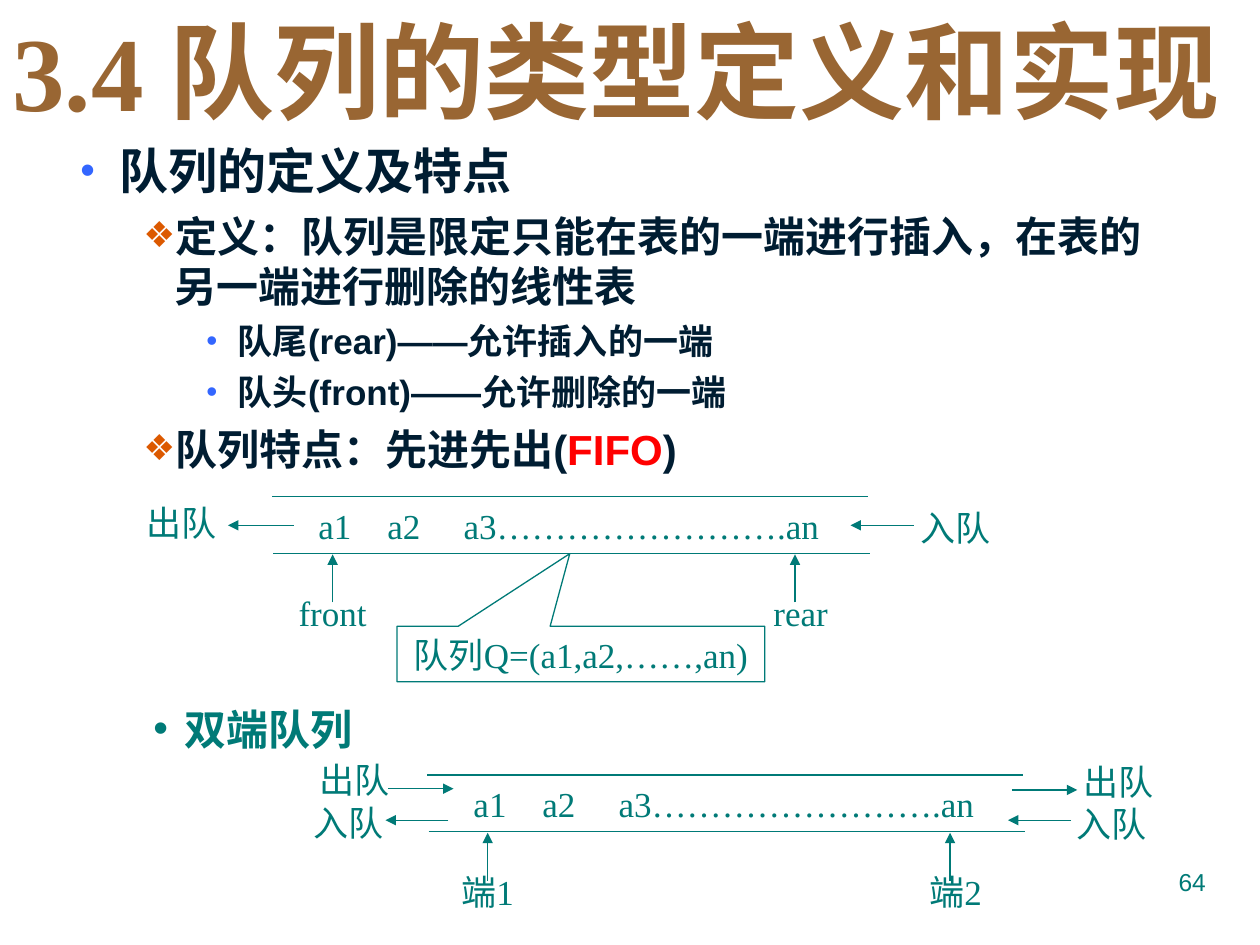
"""Build the slide on the definition and implementation of queues."""
from lxml.etree import SubElement
from pptx import Presentation
from pptx.dml.color import RGBColor
from pptx.enum.shapes import MSO_CONNECTOR, MSO_SHAPE
from pptx.enum.text import MSO_ANCHOR as ANCHOR, MSO_AUTO_SIZE as AUTO, PP_ALIGN as ALIGN
from pptx.oxml.ns import qn
from pptx.util import Pt

COLORS = {"teal": "007A77", "navy": "001D32", "brown": "996633",
          "blue": "3366FF", "orange": "DC5900", "red": "FF0000"}
SERIF, SANS = "Times New Roman", "Arial"
LABEL_WIDTH, ROW_HEIGHT = 56, 31.7
LEVELS = {
    1: dict(size=28, margin=58.5, hanging=22.5, before=7, mark="•", mark_color="blue", mark_size=85),
    2: dict(size=24, margin=90, hanging=18, before=6, mark="❖", mark_color="orange", mark_size=85),
    3: dict(size=20, margin=126, hanging=18, before=5, mark="•", mark_color="blue", mark_size=90),
}
OUTLINE = [
    (1, [("队列的定义及特点", "navy")]),
    (2, [("定义：队列是限定只能在表的一端进行插入，在表的另一端进行删除的线性表", "navy")]),
    (3, [("队尾(rear)——允许插入的一端", "navy")]),
    (3, [("队头(front)——允许删除的一端", "navy")]),
    (2, [("队列特点：先进先出(", "navy"), ("FIFO", "red"), (")", "navy")]),
]


def rgb(name):
    """Return the named colour."""
    return RGBColor.from_string(COLORS[name])


def write(paragraph, text, size=20, font=SERIF, color="teal", bold=False, align=ALIGN.LEFT):
    """Add a formatted run to a paragraph."""
    paragraph.alignment = align
    run = paragraph.add_run()
    run.text = text
    run.font.size, run.font.name, run.font.bold = Pt(size), font, bold
    run.font.color.rgb = rgb(color)


def add_frame(slide, left, top, width, height, wrap=True, anchor=ANCHOR.TOP):
    """Add a text box and return its text frame."""
    frame = slide.shapes.add_textbox(Pt(left), Pt(top), Pt(width), Pt(height)).text_frame
    frame.word_wrap, frame.vertical_anchor = wrap, anchor
    return frame


def add_label(slide, center, top, text):
    """Add a one-line label centred on a horizontal position."""
    frame = add_frame(slide, center - LABEL_WIDTH / 2, top, LABEL_WIDTH, ROW_HEIGHT,
                      wrap=False, anchor=ANCHOR.MIDDLE)
    frame.auto_size = AUTO.SHAPE_TO_FIT_TEXT
    write(frame.paragraphs[0], text, align=ALIGN.CENTER)


def add_line(slide, x1, y1, x2, y2, arrow=False):
    """Add a thin straight line, with an arrowhead at its end if asked."""
    line = slide.shapes.add_connector(MSO_CONNECTOR.STRAIGHT, Pt(x1), Pt(y1), Pt(x2), Pt(y2))
    line.line.color.rgb, line.line.width = rgb("teal"), Pt(0.75)
    if arrow:
        SubElement(line.line._get_or_add_ln(), qn("a:tailEnd"), type="triangle")
    SubElement(line._element.spPr, qn("a:effectLst"))


def set_bullet(paragraph, margin, hanging, before, mark, mark_color, mark_size):
    """Give a paragraph its indent, spacing and bullet."""
    paragraph.space_before = Pt(before)
    props = paragraph._p.get_or_add_pPr()
    props.set("marL", str(Pt(margin)))
    props.set("indent", str(-Pt(hanging)))
    SubElement(SubElement(props, qn("a:buClr")), qn("a:srgbClr"), val=COLORS[mark_color])
    SubElement(props, qn("a:buSzPct"), val=str(mark_size * 1000))
    SubElement(props, qn("a:buFont"), typeface=SANS)
    SubElement(props, qn("a:buChar"), char=mark)


def add_outline(slide):
    """Add the bulleted definition and properties."""
    frame = add_frame(slide, 2.9, 77, 669.6, 244)
    for index, (level, runs) in enumerate(OUTLINE):
        paragraph = frame.add_paragraph() if index else frame.paragraphs[0]
        paragraph.level = level - 1
        style = dict(LEVELS[level])
        size = style.pop("size")
        for text, color in runs:
            write(paragraph, text, size=size, font=SANS, color=color, bold=True)
        set_bullet(paragraph, **style)


def add_queue(slide, left, top, front, rear):
    """Draw a queue between two rails with pointers to both ends."""
    for dx, dy in ((0, 0), (0.8, 32.4)):
        add_line(slide, left + dx, top + dy, left + dx + 340.6, top + dy)
    items = add_frame(slide, left + 19.4, top + 0.7, 305.3, ROW_HEIGHT,
                      anchor=ANCHOR.MIDDLE).paragraphs[0]
    write(items, "a1\ta2\ta3…………………….an")
    tabs = SubElement(items._p.get_or_add_pPr(), qn("a:tabLst"))
    for stop in (39.4, 82.9):
        SubElement(tabs, qn("a:tab"), pos=str(Pt(stop)), algn="l")
    for text, pointer, center in ((front, 34.6, 34.6), (rear, 298.8, 302)):
        add_line(slide, left + pointer, top + 60.5, left + pointer, top + 33.1, arrow=True)
        add_label(slide, left + center, top + 50.5, text)


def add_move(slide, text, center, top, start, end, y):
    """Add an operation label and its horizontal arrow."""
    add_line(slide, start, y, end, y, arrow=True)
    add_label(slide, center, top, text)


def add_callout(slide):
    """Add the callout that names the queue."""
    callout = slide.shapes.add_shape(MSO_SHAPE.RECTANGULAR_CALLOUT,
                                     Pt(226.8), Pt(357.9), Pt(210.2), Pt(ROW_HEIGHT))
    callout.adjustments[0], callout.adjustments[1] = -0.03, -1.81
    callout.shadow.inherit = False
    callout.fill.background()
    callout.line.color.rgb, callout.line.width = rgb("teal"), Pt(0.75)
    frame = callout.text_frame
    frame.word_wrap, frame.vertical_anchor = False, ANCHOR.MIDDLE
    write(frame.paragraphs[0], "队列Q=(a1,a2,……,an)", align=ALIGN.CENTER)


def main():
    """Build and save the slide."""
    deck = Presentation()
    deck.slide_width, deck.slide_height = Pt(720), Pt(540)
    slide = deck.slides.add_slide(deck.slide_layouts[6])

    number = add_frame(slide, 516.2, 491.8, 180, 37.4)
    write(number.paragraphs[0], "64", size=14, font=SANS, align=ALIGN.RIGHT)
    add_outline(slide)

    add_queue(slide, 155.5, 283.7, "front", "rear")
    add_move(slide, "入队", 546.1, 285.8, 522, 486, 300.2)
    add_move(slide, "出队", 104, 283, 167.8, 130.3, 300.2)
    add_callout(slide)

    deque = add_frame(slide, 8.6, 398.2, 208.8, ROW_HEIGHT).paragraphs[0]
    deque.level = 1
    write(deque, "双端队列", size=24, bold=True)
    set_bullet(deque, margin=90, hanging=18, before=6, mark="•", mark_color="teal", mark_size=100)

    add_queue(slide, 244.1, 442.8, "端1", "端2")
    add_move(slide, "入队", 635.4, 455, 612, 576, 468.7)
    add_move(slide, "出队", 639, 430.6, 578.2, 615.6, 451.4)
    add_move(slide, "入队", 199, 454.3, 256.3, 220.3, 468.7)
    add_move(slide, "出队", 202.7, 429.8, 221.8, 259.2, 450.7)

    title = add_frame(slide, 0, 0, 720, 79.2)
    title.auto_size = AUTO.SHAPE_TO_FIT_TEXT
    write(title.paragraphs[0], "3.4 队列的类型定义和实现", size=60, color="brown", bold=True)
    deck.save("out.pptx")


if __name__ == "__main__":
    main()
